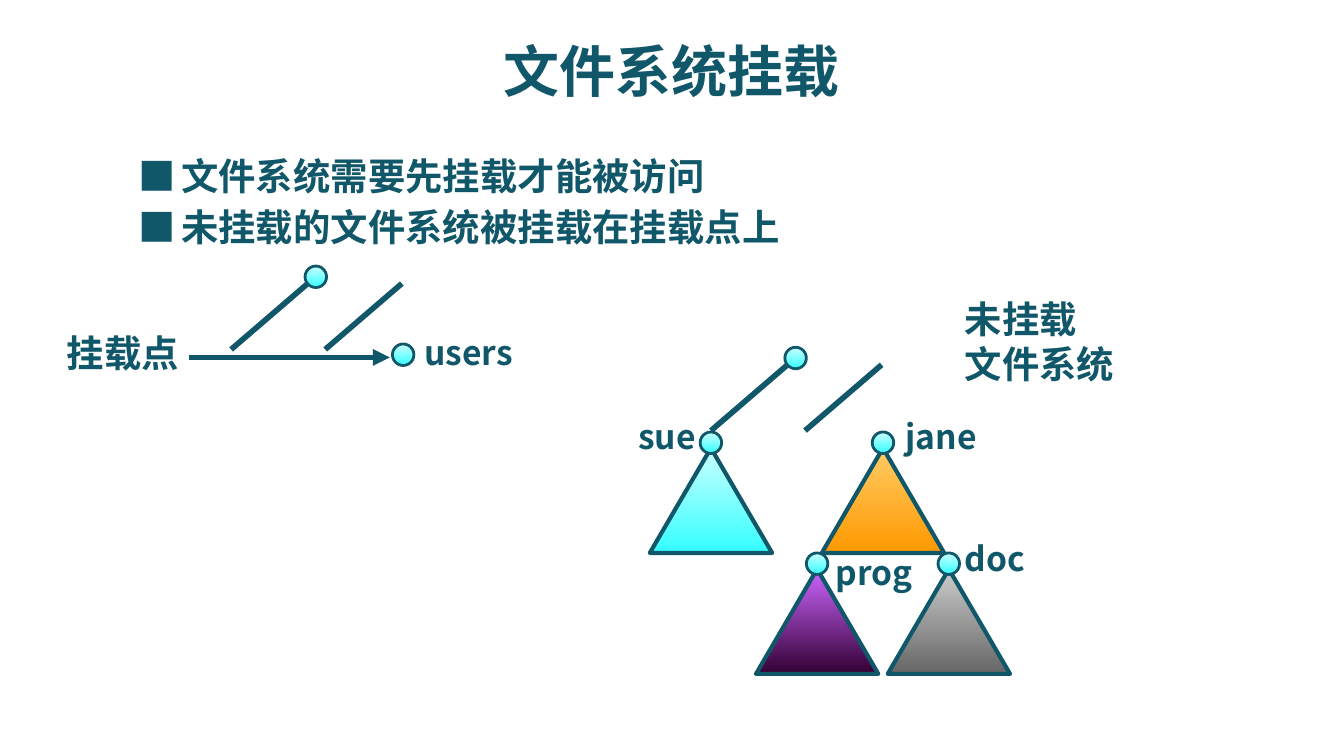
from lxml.etree import SubElement
from pptx import Presentation
from pptx.dml.color import RGBColor
from pptx.enum.shapes import MSO_CONNECTOR as Connector, MSO_SHAPE as Shape
from pptx.enum.text import PP_ALIGN as Align
from pptx.oxml.ns import qn
from pptx.util import Inches, Pt

WIDTH = 10
HEIGHT = WIDTH * 9 / 16
FONT = "Noto Sans CJK SC"
BULLET_FONT = "Noto Sans CJK JP"
NODE = 0.16
TREE_WIDTH, TREE_HEIGHT = 0.91, 0.78
COLORS = {
    "ink": "11576A",
    "cyan": ("CCFFFF", "33FFFF"),
    "orange": ("FFCC66", "FF9900"),
    "purple": ("CC66FF", "330033"),
    "gray": ("CCCCCC", "666666"),
}


def rgb(name):
    return RGBColor.from_string(COLORS[name])


def add_text(slide, text, left, top, width, height, size=20, font=FONT,
             align=Align.LEFT, wrap=True):
    box = slide.shapes.add_textbox(*map(Inches, (left, top, width, height)))
    frame = box.text_frame
    frame.word_wrap = wrap
    for index, line in enumerate(text.split("\n")):
        paragraph = frame.paragraphs[0] if index == 0 else frame.add_paragraph()
        paragraph.alignment = align
        run = paragraph.add_run()
        run.text = line
        run.font.size, run.font.bold = Pt(size), True
        run.font.color.rgb = rgb("ink")
        run.font.name = font
        SubElement(run.font._element, qn("a:ea"), typeface=font)


def add_line(slide, start, end, arrow=False):
    line = slide.shapes.add_connector(Connector.STRAIGHT, *map(Inches, (*start, *end)))
    line.line.color.rgb = rgb("ink")
    line.line.width = Pt(3)
    properties = line._element.spPr
    if arrow:
        SubElement(properties.find(qn("a:ln")), qn("a:tailEnd"), type="triangle")
    SubElement(properties, qn("a:effectLst"))


def add_gradient_shape(slide, kind, left, top, width, height, color, weight):
    shape = slide.shapes.add_shape(kind, *map(Inches, (left, top, width, height)))
    shape.shadow.inherit = False
    shape.fill.gradient()
    shape.fill.gradient_angle = 270
    for stop, value in zip(shape.fill.gradient_stops, COLORS[color]):
        stop.color.rgb = RGBColor.from_string(value)
    shape.line.color.rgb = rgb("ink")
    shape.line.width = Pt(weight)


def add_node(slide, x, y):
    """Place a directory circle centred on x, y."""
    add_gradient_shape(slide, Shape.OVAL, x - NODE / 2, y - NODE / 2,
                       NODE, NODE, "cyan", 1.5)


def add_subtree(slide, x, y, color):
    """Place a triangle hanging from a directory circle centred on x, y."""
    add_gradient_shape(slide, Shape.ISOSCELES_TRIANGLE, x - TREE_WIDTH / 2, y + 0.04,
                       TREE_WIDTH, TREE_HEIGHT, color, 2.25)
    add_node(slide, x, y)


def add_root(slide, x, y):
    """Place a root circle with its two slanted branches."""
    add_node(slide, x, y)
    for shift in (0, 0.7):
        add_line(slide, (x - 0.06 + shift, y + 0.05), (x - 0.63 + shift, y + 0.54))


def add_bullets(slide, left, top, row_height, items):
    for row, item in enumerate(items):
        y = top + row * row_height
        add_text(slide, "■", left, y, 0.47, 0.44, font=BULLET_FONT)
        add_text(slide, item, left + 0.32, y, 5.47, 0.47)


def add_mount_point(slide, left, top):
    add_text(slide, "挂载点", left, top + 0.43, 1.04, 0.44)
    add_line(slide, (left + 1.01, top + 0.68), (left + 2.5, top + 0.68), arrow=True)
    add_root(slide, left + 1.95, top + 0.08)
    add_node(slide, left + 2.6, top + 0.66)
    add_text(slide, "users", left + 2.66, top + 0.44, 0.87, 0.4, size=18, wrap=False)


def add_unmounted_system(slide, left, top):
    subtrees = (
        ("jane", 1.92, 1.14, "orange", 0.07, -0.25, 0.73),
        ("prog", 1.43, 2.04, "purple", 0.04, -0.14, 0.81),
        ("doc", 2.41, 2.04, "gray", 0.02, -0.24, 0.67),
        ("sue", 0.64, 1.14, "cyan", -0.64, -0.25, 0.64),
    )
    add_text(slide, "未挂载\n文件系统", left + 2.43, top, 1.32, 0.77, wrap=False)
    for _, x, y, color, *_ in subtrees:
        add_subtree(slide, left + x, top + y, color)
    add_root(slide, left + 1.27, top + 0.51)
    for name, x, y, _, shift_x, shift_y, width in subtrees:
        add_text(slide, name, left + x + shift_x, top + y + shift_y, width, 0.4,
                 size=18, wrap=False)


def main():
    presentation = Presentation()
    presentation.slide_width, presentation.slide_height = Inches(WIDTH), Inches(HEIGHT)
    slide = presentation.slides.add_slide(presentation.slide_layouts[6])
    add_text(slide, "文件系统挂载", 0.05 * WIDTH, 0.04 * HEIGHT, 0.9 * WIDTH, 0.1 * HEIGHT,
             size=30, align=Align.CENTER)
    add_bullets(slide, 0.093 * WIDTH, 0.194 * HEIGHT, 0.38,
                ("文件系统需要先挂载才能被访问", "未挂载的文件系统被挂载在挂载点上"))
    add_mount_point(slide, 0.04 * WIDTH, 0.352 * HEIGHT)
    add_unmounted_system(slide, 0.465 * WIDTH, 0.383 * HEIGHT)
    presentation.save("out.pptx")


if __name__ == "__main__":
    main()
